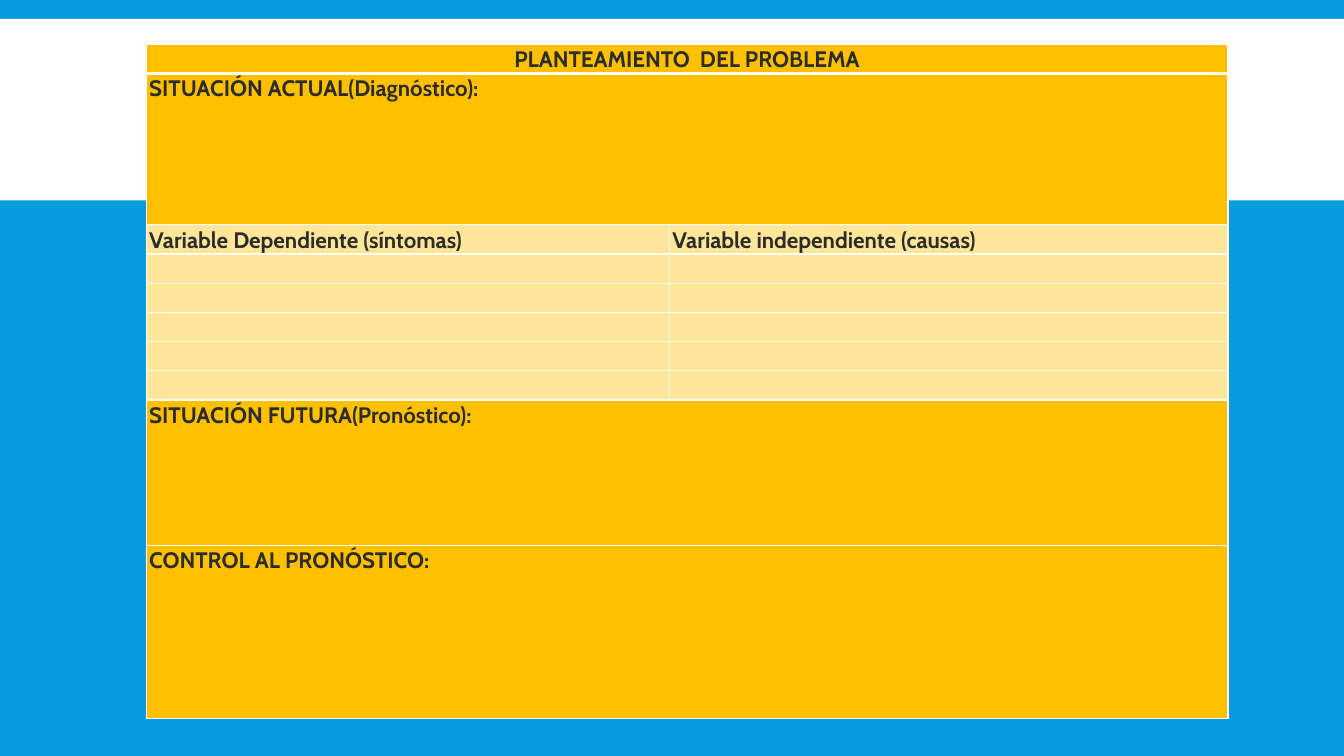
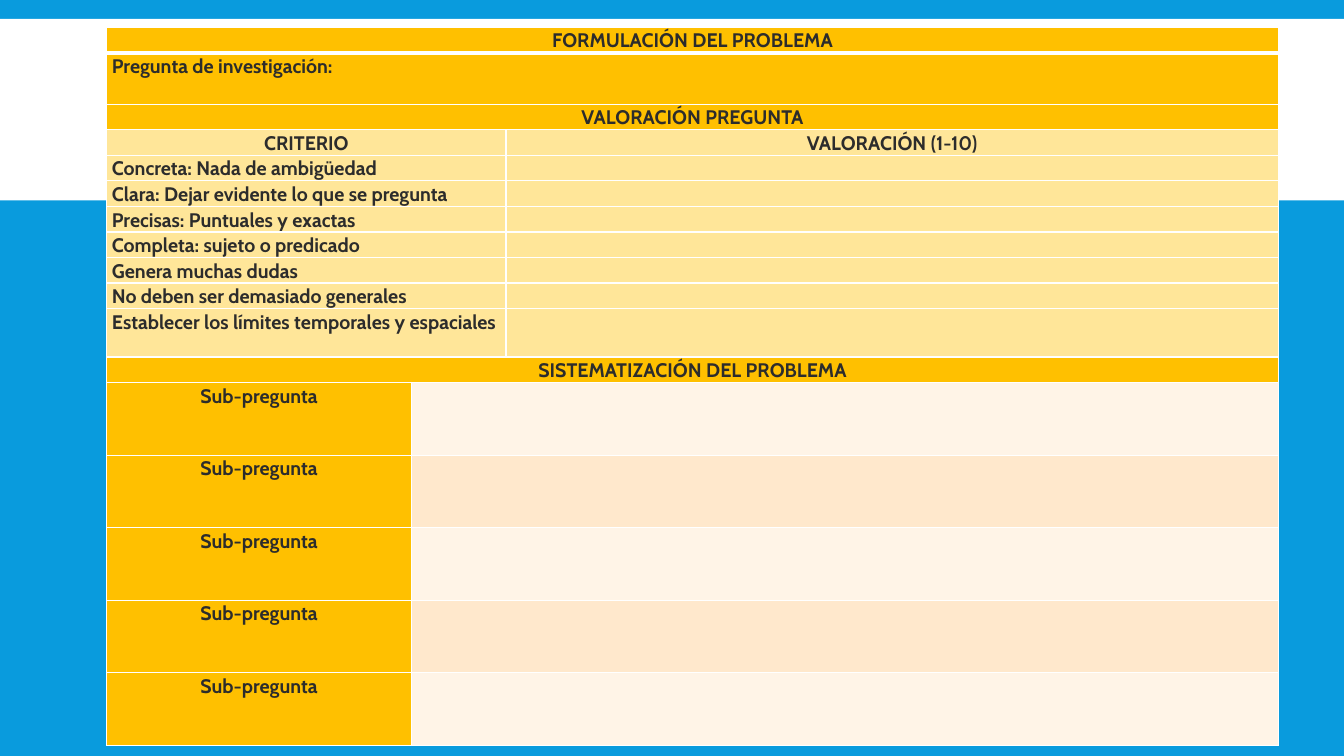
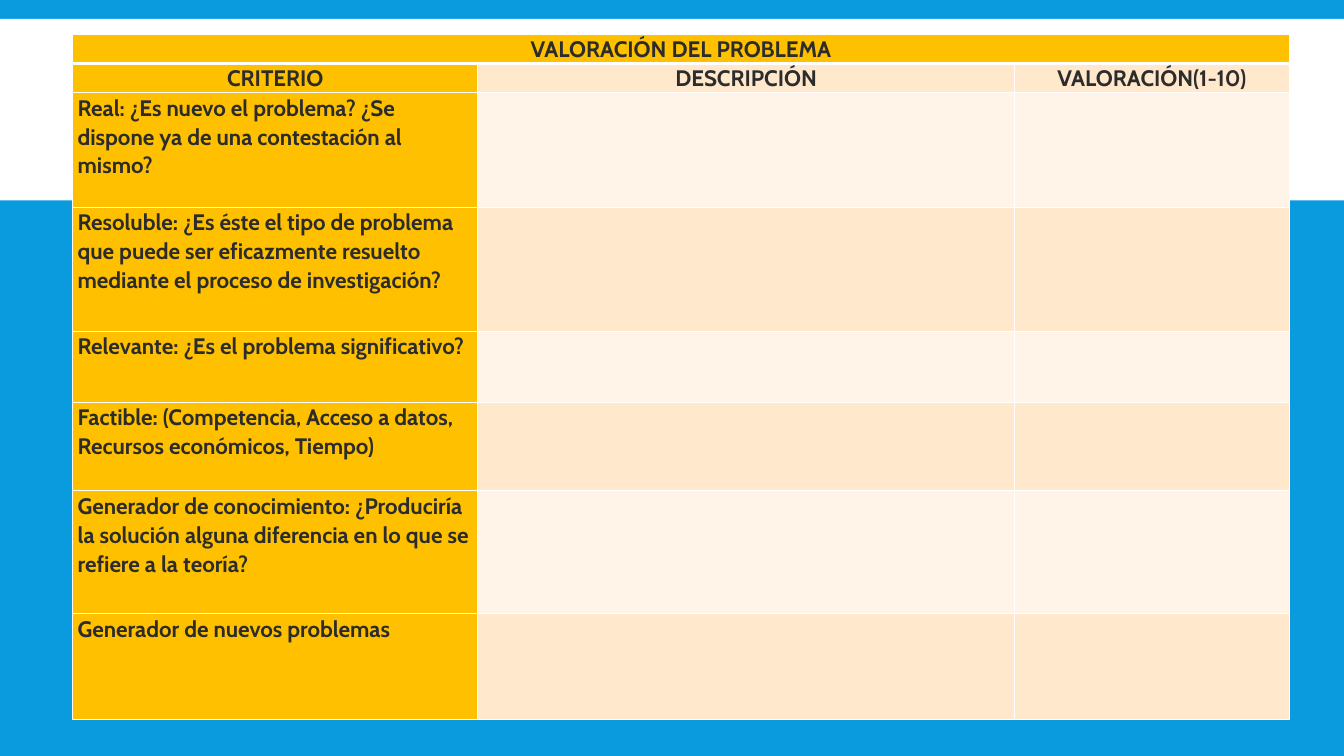
from dataclasses import dataclass

from lxml import etree
from pptx import Presentation
from pptx.dml.color import RGBColor
from pptx.enum.shapes import MSO_SHAPE
from pptx.enum.text import PP_ALIGN
from pptx.oxml.ns import qn
from pptx.util import Inches, Pt

RECT = MSO_SHAPE.RECTANGLE
LEFT, CENTER = PP_ALIGN.LEFT, PP_ALIGN.CENTER
SLIDE_W, SLIDE_H = 13.33, 7.5
BAND_TOP, BAND_H = 0.025, 0.24  # shares of the slide height
BLANK_LAYOUT = 6


@dataclass(frozen=True)
class Theme:
    background: str = "099BDD"
    white: str = "FFFFFF"
    text: str = "2C2C2C"
    gold: str = "FFC000"
    sand: str = "FFE699"
    cream: str = "FFF4E7"
    peach: str = "FFE8CC"
    font: str = "Cabin"
    line_spacing: float = 1.07
    large: int = 16
    small: int = 14
    thin: int = 1
    thick: int = 3


THEME = Theme()


@dataclass(frozen=True)
class Cell:
    text: str = ""
    fill: str = THEME.gold
    span: int = 1
    align: PP_ALIGN = LEFT


@dataclass(frozen=True)
class Row:
    height: float
    cells: tuple[Cell, ...]


@dataclass(frozen=True)
class Form:
    """A table with its place, column widths and rows, in inches."""
    left: float
    top: float
    cols: tuple[float, ...]
    rows: tuple[Row, ...]
    size: int
    inset: float = 0.05


def heading(text: str, span: int = 1, fill: str = THEME.gold) -> Cell:
    return Cell(text, fill, span, CENTER)


def shade(i: int) -> str:
    """Alternate the two pale fills of the answer cells."""
    return THEME.peach if i % 2 else THEME.cream


def problem_statement() -> Form:
    line_h = 0.29
    blank = Cell(fill=THEME.sand)
    variables = (Cell("Variable Dependiente (síntomas)", THEME.sand),
                 Cell("Variable independiente (causas)", THEME.sand))
    rows = (
        Row(line_h, (heading("PLANTEAMIENTO  DEL PROBLEMA", 2),)),
        Row(1.5, (Cell("SITUACIÓN ACTUAL(Diagnóstico):", span=2),)),
        Row(line_h, variables),
        *[Row(line_h, (blank, blank))] * 5,
        Row(1.44, (Cell("SITUACIÓN FUTURA(Pronóstico):", span=2),)),
        Row(1.72, (Cell("CONTROL AL PRONÓSTICO:", span=2),)),
    )
    return Form(1.45, 0.44, (5.19, 5.54), rows, THEME.large, 0.03)


def problem_question() -> Form:
    line_h = 0.25
    criteria = (
        ("Concreta: Nada de ambigüedad", line_h),
        ("Clara: Dejar evidente lo que se pregunta", line_h),
        ("Precisas: Puntuales y exactas", line_h),
        ("Completa: sujeto o predicado", line_h),
        ("Genera muchas dudas", line_h),
        ("No deben ser demasiado generales", line_h),
        ("Establecer los límites temporales y espaciales", 0.48),
    )
    rows = (
        Row(line_h, (heading("FORMULACIÓN DEL PROBLEMA", 3),)),
        Row(0.51, (Cell("Pregunta de investigación:", span=3),)),
        Row(line_h, (heading("VALORACIÓN PREGUNTA", 3),)),
        Row(line_h, (heading("CRITERIO", 2, THEME.sand),
                     heading("VALORACIÓN (1-10)", 1, THEME.sand))),
        *(Row(h, (Cell(text, THEME.sand, 2), Cell(fill=THEME.sand)))
          for text, h in criteria),
        Row(line_h, (heading("SISTEMATIZACIÓN DEL PROBLEMA", 3),)),
        *(Row(0.72, (heading("Sub-pregunta"), Cell(fill=shade(i), span=2)))
          for i in range(5)),
    )
    return Form(1.06, 0.27, (3.02, 0.94, 7.66), rows, THEME.small)


def problem_rating() -> Form:
    line_h = 0.29
    criteria = (
        ("Real: ¿Es nuevo el problema? ¿Se dispone ya de una contestación "
         "al mismo?", 1.14),
        ("Resoluble: ¿Es éste el tipo de problema que puede ser eficazmente "
         "resuelto mediante el proceso de investigación?", 1.23),
        ("Relevante: ¿Es el problema significativo?", 0.7),
        ("Factible: (Competencia, Acceso a datos, Recursos económicos, "
         "Tiempo)", 0.88),
        ("Generador de conocimiento: ¿Produciría la solución alguna "
         "diferencia en lo que se refiere a la teoría?", 1.22),
        ("Generador de nuevos problemas", 1.05),
    )
    rows = (
        Row(line_h, (heading("VALORACIÓN DEL PROBLEMA", 3),)),
        Row(line_h, (heading("CRITERIO"),
                     heading("DESCRIPCIÓN", fill=THEME.peach),
                     heading("VALORACIÓN(1-10)", fill=THEME.peach))),
        *(Row(h, (Cell(text), *[Cell(fill=shade(i))] * 2))
          for i, (text, h) in enumerate(criteria)),
    )
    return Form(0.72, 0.34, (4.02, 5.32, 2.73), rows, THEME.large)


def write(tf, text: str, *, size: int, align: PP_ALIGN = LEFT) -> None:
    p = tf.paragraphs[0]
    p.alignment = align
    p.line_spacing = THEME.line_spacing
    if not text:
        # An empty cell keeps its row low only if its end mark is sized.
        etree.SubElement(p._p, qn("a:endParaRPr"), sz=str(size * 100))
        return
    r = p.add_run()
    r.text = text
    r.font.name = THEME.font
    r.font.size = Pt(size)
    r.font.bold = True
    r.font.color.rgb = RGBColor.from_string(THEME.text)


def set_borders(cell, *, top: int, bottom: int) -> None:
    """Draw white cell borders; widths are in points."""
    tc_pr = cell._tc.get_or_add_tcPr()
    widths = {"L": THEME.thin, "R": THEME.thin, "T": top, "B": bottom}
    for i, (side, width) in enumerate(widths.items()):
        ln = etree.Element(qn(f"a:ln{side}"), w=str(Pt(width)))
        fill = etree.SubElement(ln, qn("a:solidFill"))
        etree.SubElement(fill, qn("a:srgbClr"), val=THEME.white)
        tc_pr.insert(i, ln)


def style_cell(cell, fill: str, form: Form, row: int) -> None:
    cell.margin_left = cell.margin_right = Inches(form.inset)
    cell.margin_top = cell.margin_bottom = 0
    cell.fill.solid()
    cell.fill.fore_color.rgb = RGBColor.from_string(fill)
    set_borders(cell, top=THEME.thick if row == 1 else THEME.thin,
                bottom=THEME.thick if row == 0 else THEME.thin)


def add_form(s, form: Form) -> None:
    height = sum(row.height for row in form.rows)
    table = s.shapes.add_table(
        len(form.rows), len(form.cols), Inches(form.left), Inches(form.top),
        Inches(sum(form.cols)), Inches(height)).table
    table.first_row = table.horz_banding = False
    for column, width in zip(table.columns, form.cols):
        column.width = Inches(width)
    for i, row in enumerate(form.rows):
        table.rows[i].height = Inches(row.height)
        col = 0
        for item in row.cells:
            for j in range(col, col + item.span):
                cell = table.cell(i, j)
                style_cell(cell, item.fill, form, i)
                write(cell.text_frame, item.text if j == col else "",
                      size=form.size, align=item.align)
            if item.span > 1:
                table.cell(i, col).merge(table.cell(i, col + item.span - 1))
            col += item.span


def add_band(s) -> None:
    band = s.shapes.add_shape(RECT, 0, Inches(SLIDE_H * BAND_TOP),
                              Inches(SLIDE_W), Inches(SLIDE_H * BAND_H))
    band.shadow.inherit = False
    band.fill.solid()
    band.fill.fore_color.rgb = RGBColor.from_string(THEME.white)
    band.line.fill.background()


def main() -> None:
    prs = Presentation()
    prs.slide_width, prs.slide_height = Inches(SLIDE_W), Inches(SLIDE_H)
    background = prs.slide_master.background.fill
    background.solid()
    background.fore_color.rgb = RGBColor.from_string(THEME.background)
    for form in (problem_statement(), problem_question(), problem_rating()):
        s = prs.slides.add_slide(prs.slide_layouts[BLANK_LAYOUT])
        add_band(s)
        add_form(s, form)
    prs.save("out.pptx")


if __name__ == "__main__":
    main()
